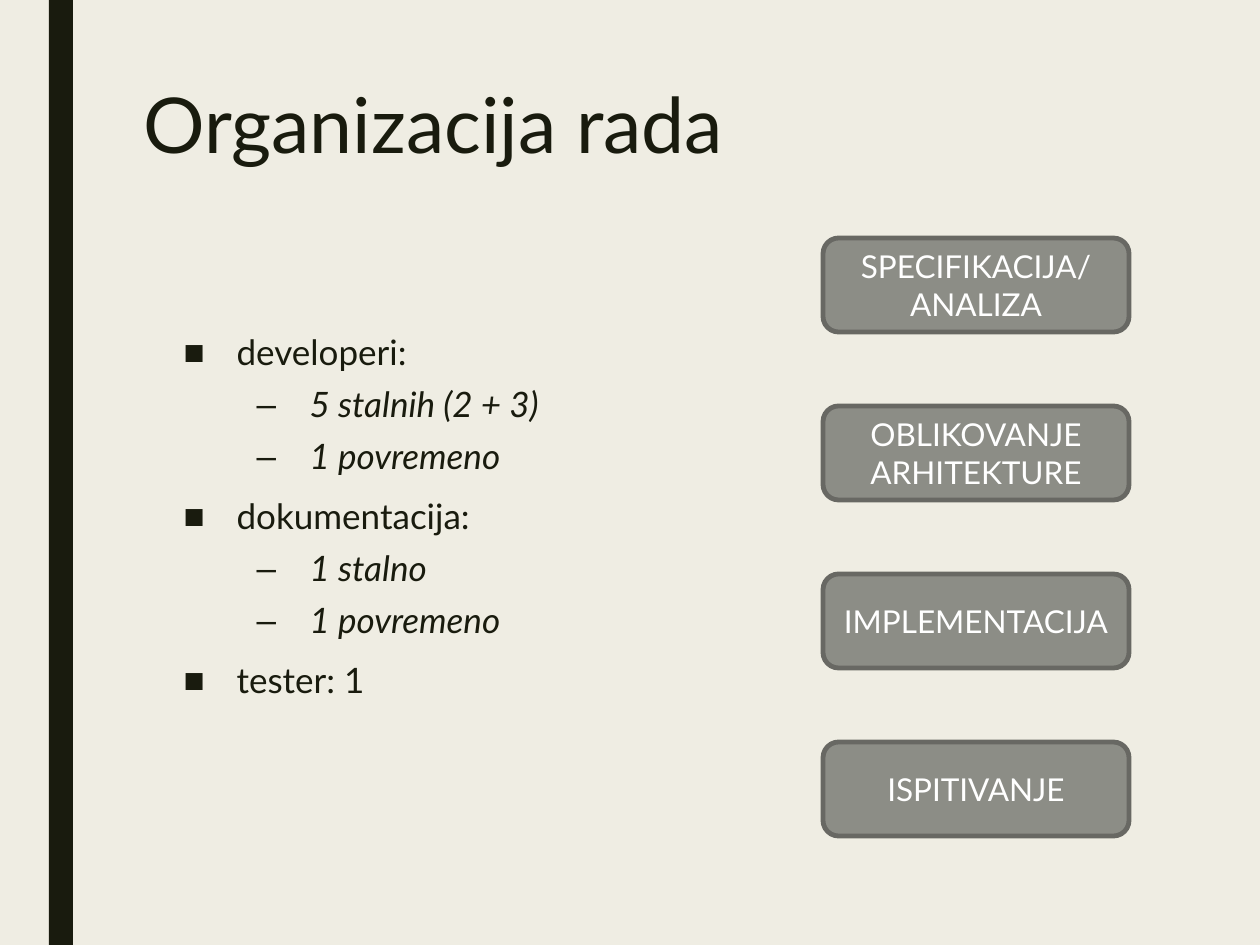
from lxml import etree
from pptx import Presentation
from pptx import util as u
from pptx.dml.color import RGBColor
from pptx.enum import shapes, text
from pptx.oxml import ns

DARK = RGBColor(0x19, 0x1B, 0x0E)
CREAM = RGBColor(0xEF, 0xED, 0xE3)
GRAY = RGBColor(0x8C, 0x8D, 0x86)
BORDER = RGBColor(0x68, 0x68, 0x63)
WHITE = RGBColor(0xFF, 0xFF, 0xFF)


def px(length):
    return u.Emu(round(length * 914400 / 126))


class SlideBuilder:
    font_name = "Lato"
    # level: bullet, left margin, space before, italic
    levels = {0: ("■", 53, 10, False), 1: ("–", 126, 5, True)}
    hanging = 53

    def __init__(self, slide):
        self.slide = slide
        slide.background.fill.solid()
        slide.background.fill.fore_color.rgb = CREAM

    def style(self, paragraph, size, color, italic=False):
        font = paragraph.font
        font.name, font.size, font.italic = self.font_name, u.Pt(size), italic
        font.color.rgb = color

    def place(self, shape, left, top, width, height):
        shape.left, shape.top = px(left), px(top)
        shape.width, shape.height = px(width), px(height)
        frame = shape.text_frame
        frame.word_wrap = True
        frame.auto_size = text.MSO_AUTO_SIZE.NONE
        frame.vertical_anchor = text.MSO_ANCHOR.TOP
        return frame

    def title(self, words, *bounds):
        frame = self.place(self.slide.shapes.title, *bounds)
        frame.text = words
        paragraph = frame.paragraphs[0]
        paragraph.alignment = text.PP_ALIGN.LEFT
        paragraph.line_spacing = 0.89
        self.style(paragraph, 44, DARK)

    def bullets(self, items, *bounds):
        frame = self.place(self.slide.placeholders[1], *bounds)
        frame.text = "\n".join(words for level, words in items)
        for index, (level, words) in enumerate(items):
            paragraph = frame.paragraphs[index]
            bullet, margin, before, italic = self.levels[level]
            paragraph.level = level
            paragraph.line_spacing = 0.94
            paragraph.space_before = u.Pt(before if index else 0)
            paragraph.space_after = u.Pt(2)
            properties = paragraph._p.get_or_add_pPr()
            properties.set("marL", str(px(margin)))
            properties.set("indent", str(-px(self.hanging)))
            etree.SubElement(properties, ns.qn("a:buChar"), char=bullet)
            self.style(paragraph, 20, DARK, italic)

    def shape(self, kind, fill, *bounds):
        shape = self.slide.shapes.add_shape(kind, *map(px, bounds))
        shape.shadow.inherit = False
        shape.fill.solid()
        shape.fill.fore_color.rgb = fill
        shape.line.fill.background()
        return shape

    def phase(self, words, *bounds):
        box = self.shape(shapes.MSO_SHAPE.ROUNDED_RECTANGLE, GRAY, *bounds)
        box.line.color.rgb = BORDER
        box.line.width = u.Pt(2.75)
        frame = box.text_frame
        frame.word_wrap = True
        frame.vertical_anchor = text.MSO_ANCHOR.MIDDLE
        frame.text = words
        for paragraph in frame.paragraphs:
            paragraph.alignment = text.PP_ALIGN.CENTER
            self.style(paragraph, 18, WHITE)


def main():
    presentation = Presentation()
    presentation.slide_width, presentation.slide_height = px(1260), px(945)
    layout = presentation.slide_layouts[1]
    builder = SlideBuilder(presentation.slides.add_slide(layout))

    # Side bar
    builder.shape(shapes.MSO_SHAPE.RECTANGLE, DARK, 49, 0, 24, 945)

    # Title and team list
    builder.title("Organizacija rada", 131, 81, 669, 204)
    builder.bullets([
        (0, "developeri:"),
        (1, "5 stalnih (2 + 3)"),
        (1, "1 povremeno"),
        (0, "dokumentacija:"),
        (1, "1 stalno"),
        (1, "1 povremeno"),
        (0, "tester: 1"),
    ], 171, 328, 459, 415)

    # Project phases, evenly spaced
    phases = ["SPECIFIKACIJA/\nANALIZA", "OBLIKOVANJE ARHITEKTURE",
              "IMPLEMENTACIJA", "ISPITIVANJE"]
    for row, words in enumerate(phases):
        builder.phase(words, 823, 238 + 168 * row, 306, 94)

    presentation.save("out.pptx")


if __name__ == "__main__":
    main()
